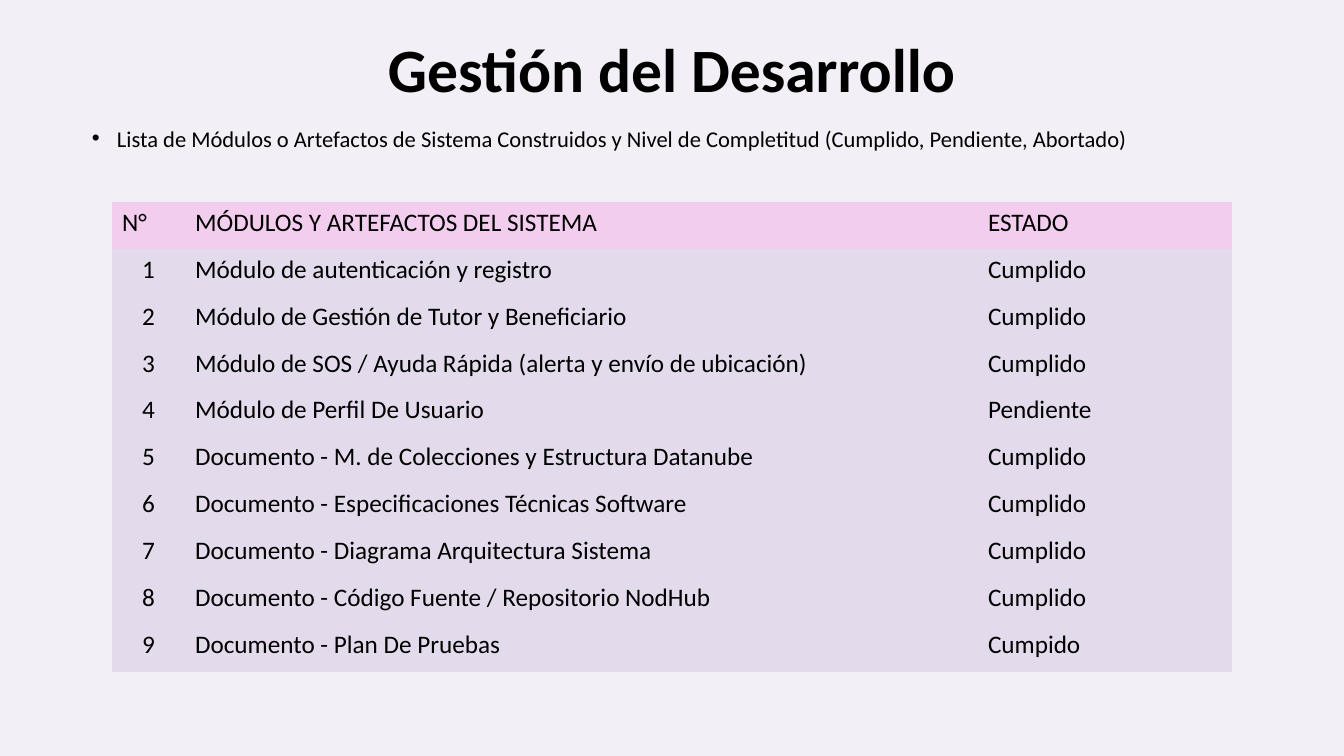
"""Builds the slide that lists the system modules and their completion state."""
import dataclasses

import lxml.etree
import pptx
import pptx.dml.color
import pptx.enum.text
import pptx.oxml.ns
import pptx.util

EMU_PER_PX = 914400 / 100.8
NO_GRID_STYLE = "{2D5ABB26-0587-4C30-8999-92F81FD0307C}"
LEFT = pptx.enum.text.PP_ALIGN.LEFT
CENTER = pptx.enum.text.PP_ALIGN.CENTER
TOP = pptx.enum.text.MSO_ANCHOR.TOP
MIDDLE = pptx.enum.text.MSO_ANCHOR.MIDDLE

HEADINGS = ("N°", "MÓDULOS Y ARTEFACTOS DEL SISTEMA", "ESTADO")
MODULES = (
    ("Módulo de autenticación y registro", "Cumplido"),
    ("Módulo de Gestión de Tutor y Beneficiario", "Cumplido"),
    ("Módulo de SOS / Ayuda Rápida (alerta y envío de ubicación)", "Cumplido"),
    ("Módulo de Perfil De Usuario", "Pendiente"),
    ("Documento - M. de Colecciones y Estructura Datanube", "Cumplido"),
    ("Documento - Especificaciones Técnicas Software", "Cumplido"),
    ("Documento - Diagrama Arquitectura Sistema", "Cumplido"),
    ("Documento - Código Fuente / Repositorio NodHub", "Cumplido"),
    ("Documento - Plan De Pruebas", "Cumpido"),
)


@dataclasses.dataclass(frozen=True)
class Theme:
    font: str = "Calibri"
    text: str = "000000"
    background: str = "F3EFF7"
    header: str = "F2CDED"
    body: str = "E3DBEC"
    title_size: float = 44
    bullet_size: float = 16.1
    table_size: float = 18


THEME = Theme()


def px(length):
    return pptx.util.Emu(round(length * EMU_PER_PX))


def paint(fill, color):
    fill.solid()
    fill.fore_color.rgb = pptx.dml.color.RGBColor.from_string(color)


def write(para, text, size, bold=False, align=LEFT):
    para.text = text
    para.alignment = align
    para.font.name = THEME.font
    para.font.size = pptx.util.Pt(size)
    para.font.bold = bold
    paint(para.font.fill, THEME.text)


def add_text_box(page, left, top, width, height, anchor):
    box = page.shapes.add_textbox(px(left), px(top), px(width), px(height))
    box.text_frame.word_wrap = True
    box.text_frame.vertical_anchor = anchor
    return box.text_frame.paragraphs[0]


def add_bullet(para, indent):
    properties = para._p.get_or_add_pPr()
    properties.set("marL", str(px(indent)))
    properties.set("indent", str(-px(indent)))
    qn = pptx.oxml.ns.qn
    color = lxml.etree.SubElement(properties, qn("a:buClr"))
    lxml.etree.SubElement(color, qn("a:srgbClr"), val=THEME.text)
    lxml.etree.SubElement(properties, qn("a:buFont"), typeface="Arial")
    lxml.etree.SubElement(properties, qn("a:buChar"), char="•")


def add_table(page, left, top, widths, row_height, rows):
    frame = page.shapes.add_table(
        len(rows), len(widths), px(left), px(top),
        px(sum(widths)), px(row_height * len(rows)))
    table = frame.table
    table.first_row = False
    table.horz_banding = False
    table._tbl.tblPr.find(pptx.oxml.ns.qn("a:tableStyleId")).text = NO_GRID_STYLE
    for column, width in zip(table.columns, widths):
        column.width = px(width)
    for row_index, row in enumerate(rows):
        table.rows[row_index].height = px(row_height)
        for column_index, text in enumerate(row):
            cell = table.cell(row_index, column_index)
            paint(cell.fill, THEME.body if row_index else THEME.header)
            align = CENTER if row_index and column_index == 0 else LEFT
            write(cell.text_frame.paragraphs[0], text, THEME.table_size, align=align)


def main():
    deck = pptx.Presentation()
    deck.slide_width, deck.slide_height = px(1344), px(756)
    page = deck.slides.add_slide(deck.slide_layouts[6])
    paint(page.background.fill, THEME.background)

    title = add_text_box(page, 0, 0, 1344, 146, MIDDLE)
    title.line_spacing = 0.9
    write(title, "Gestión del Desarrollo", THEME.title_size, bold=True, align=CENTER)

    summary = add_text_box(page, 82, 125, 1159, 58, TOP)
    add_bullet(summary, 25)
    summary.line_spacing = 0.8
    write(summary, "Lista de Módulos o Artefactos de Sistema Construidos y Nivel de "
          "Completitud (Cumplido, Pendiente, Abortado)", THEME.bullet_size)

    rows = [HEADINGS]
    rows += [(str(number), *module) for number, module in enumerate(MODULES, 1)]
    add_table(page, 112, 202, (73, 793, 254), 47, rows)
    deck.save("out.pptx")


if __name__ == "__main__":
    main()
